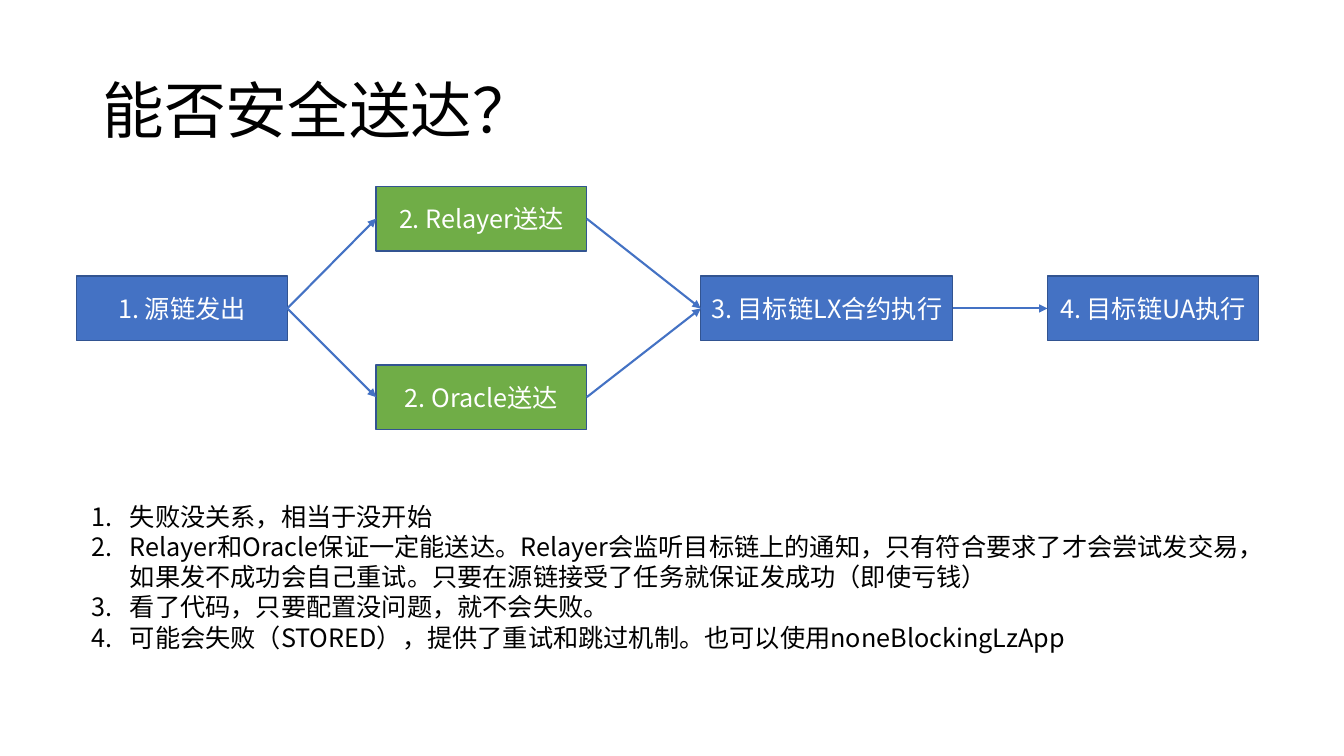
from pptx import Presentation
from pptx.dml.color import RGBColor
from pptx.enum.shapes import MSO_CONNECTOR as Connector, MSO_SHAPE as Shape
from pptx.enum.text import MSO_ANCHOR as Anchor, PP_ALIGN as Align
from pptx.oxml.ns import qn
from pptx.util import Inches, Pt
from lxml.etree import SubElement

BLUE = RGBColor(0x44, 0x72, 0xC4)
GREEN = RGBColor(0x70, 0xAD, 0x47)
OUTLINE = RGBColor(0x32, 0x54, 0x91)
BLACK = RGBColor(0, 0, 0)
WHITE = RGBColor(0xFF, 0xFF, 0xFF)

LEFT_SITE, RIGHT_SITE = 1, 3


def write(paragraph, text, *, font, size=18, color=BLACK, align=Align.LEFT,
          spacing=1.0, numbered=False):
    paragraph.alignment = align
    paragraph.line_spacing = spacing
    run = paragraph.add_run()
    run.text = text
    run.font.name = font
    run.font.size = Pt(size)
    run.font.color.rgb = color
    SubElement(run.font._element, qn("a:ea"), typeface=font)
    if numbered:
        properties = paragraph._p.get_or_add_pPr()
        properties.set("marL", str(Inches(0.38)))
        properties.set("indent", str(Inches(-0.38)))
        SubElement(properties, qn("a:buFont"), typeface=font)
        SubElement(properties, qn("a:buAutoNum"), type="arabicPeriod")


class FlowSlide:
    font = "Noto Sans CJK SC"
    step_height = 0.64

    def __init__(self, slide):
        self.slide = slide

    def text(self, left, top, width, height, lines, anchor=Anchor.TOP, **style):
        box = self.slide.shapes.add_textbox(
            Inches(left), Inches(top), Inches(width), Inches(height))
        frame = box.text_frame
        frame.word_wrap = True
        frame.vertical_anchor = anchor
        for index, line in enumerate(lines):
            paragraph = frame.add_paragraph() if index else frame.paragraphs[0]
            write(paragraph, line, font=self.font, **style)

    def step(self, left, top, label, fill=BLUE, width=2.09):
        box = self.slide.shapes.add_shape(
            Shape.RECTANGLE, Inches(left), Inches(top),
            Inches(width), Inches(self.step_height))
        box.shadow.inherit = False
        box.fill.solid()
        box.fill.fore_color.rgb = fill
        box.line.color.rgb = OUTLINE
        box.line.width = Pt(1)
        box.text_frame.word_wrap = True
        box.text_frame.vertical_anchor = Anchor.MIDDLE
        write(box.text_frame.paragraphs[0], label, font=self.font,
              color=WHITE, align=Align.CENTER)
        return box

    def arrow(self, source, target):
        link = self.slide.shapes.add_connector(Connector.STRAIGHT, 0, 0, 0, 0)
        link.begin_connect(source, RIGHT_SITE)
        link.end_connect(target, LEFT_SITE)
        link.line.color.rgb = BLUE
        link.line.width = Pt(1.5)
        SubElement(link.line._get_or_add_ln(), qn("a:tailEnd"), type="triangle")
        SubElement(link._element.spPr, qn("a:effectLst"))


deck = Presentation()
deck.slide_width, deck.slide_height = Inches(13.33), Inches(7.5)
flow = FlowSlide(deck.slides.add_slide(deck.slide_layouts[6]))

flow.text(0.92, 0.4, 11.5, 1.45, ["能否安全送达？"],
          anchor=Anchor.MIDDLE, size=44, spacing=0.9)

main_row = 2.74
send = flow.step(0.76, main_row, "1. 源链发出")
relayer = flow.step(3.73, 1.85, "2. Relayer送达", fill=GREEN)
oracle = flow.step(3.73, 3.62, "2. Oracle送达", fill=GREEN)
contract = flow.step(6.95, main_row, "3. 目标链LX合约执行", width=2.5)
execution = flow.step(10.39, main_row, "4. 目标链UA执行")

for carrier in (relayer, oracle):
    flow.arrow(send, carrier)
    flow.arrow(carrier, contract)
flow.arrow(contract, execution)

failure_notes = [
    "失败没关系，相当于没开始",
    "Relayer和Oracle保证一定能送达。Relayer会监听目标链上的通知，"
    "只有符合要求了才会尝试发交易，如果发不成功会自己重试。"
    "只要在源链接受了任务就保证发成功（即使亏钱）",
    "看了代码，只要配置没问题，就不会失败。",
    "可能会失败（STORED），提供了重试和跳过机制。也可以使用noneBlockingLzApp",
]
flow.text(0.81, 4.92, 11.8, 1.62, failure_notes, numbered=True)

deck.save("out.pptx")
